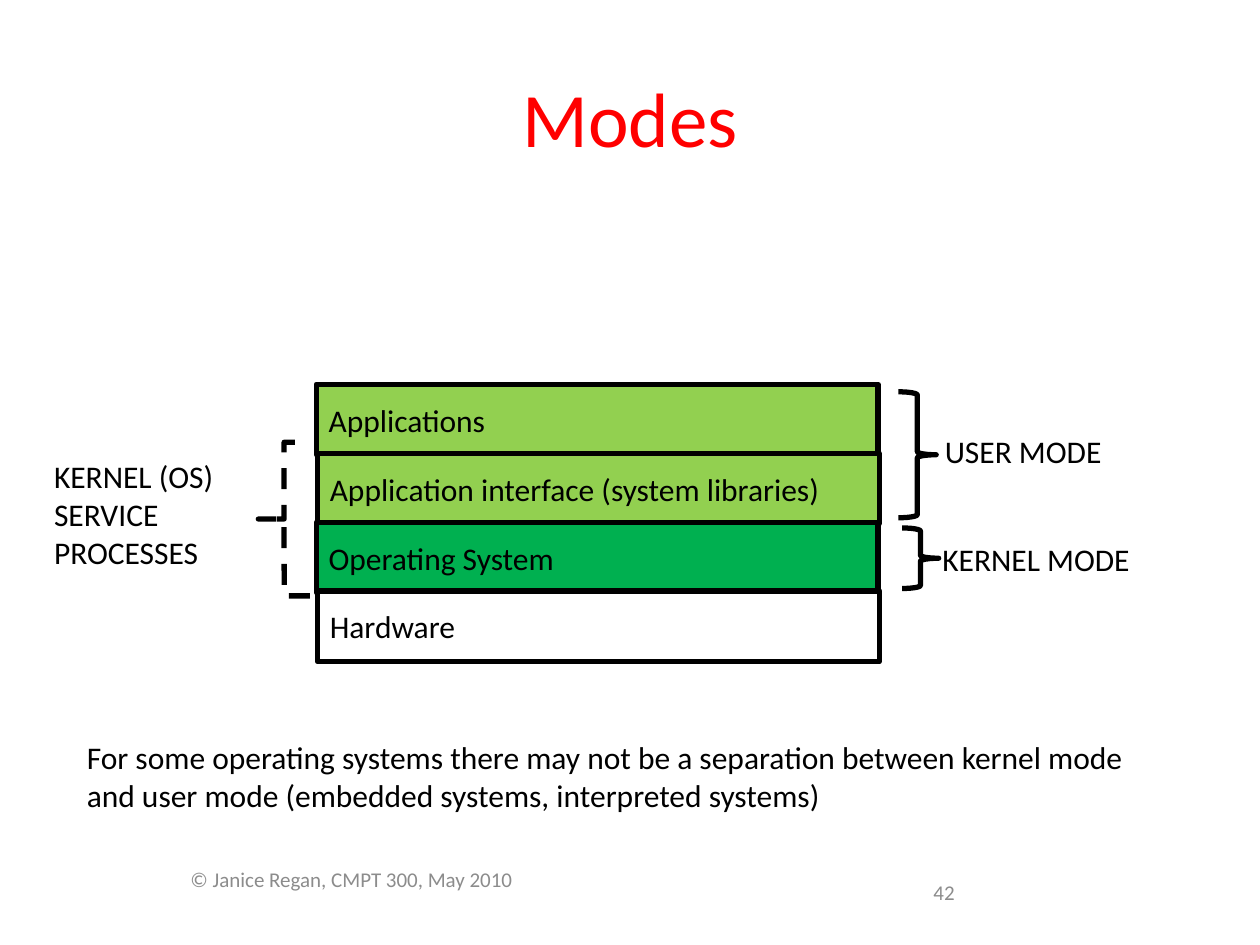
import dataclasses

import pptx
import pptx.dml.color
import pptx.enum.dml
import pptx.enum.shapes
import pptx.enum.text
import pptx.util

Pt = pptx.util.Pt
RGB = pptx.dml.color.RGBColor.from_string
Shape = pptx.enum.shapes.MSO_SHAPE
Anchor = pptx.enum.text.MSO_ANCHOR
Align = pptx.enum.text.PP_ALIGN
AutoSize = pptx.enum.text.MSO_AUTO_SIZE
Dash = pptx.enum.dml.MSO_LINE


@dataclasses.dataclass(frozen=True)
class Theme:
    font: str = "Calibri"
    title_size: int = 44
    body_size: int = 18
    footer_size: int = 12
    title: str = "FF0000"
    ink: str = "000000"
    muted: str = "8C8C8C"
    user: str = "92D050"
    kernel: str = "00B050"
    plain: str = "FFFFFF"
    line_width: int = 3


class SlideBuilder:
    def __init__(self, slide, theme):
        self.slide = slide
        self.theme = theme

    def set_words(self, frame, words, size, color, align=Align.LEFT):
        frame.text = words
        paragraph = frame.paragraphs[0]
        paragraph.alignment = align
        font = paragraph.runs[0].font
        font.name = self.theme.font
        font.size = Pt(size)
        font.color.rgb = RGB(color)

    def text(self, box, words, size, color, align=Align.LEFT, anchor=Anchor.TOP):
        frame = self.slide.shapes.add_textbox(*map(Pt, box)).text_frame
        frame.word_wrap = True
        frame.vertical_anchor = anchor
        self.set_words(frame, words, size, color, align)
        return frame

    def label(self, box, words):
        frame = self.text(box, words, self.theme.body_size, self.theme.ink)
        frame.auto_size = AutoSize.SHAPE_TO_FIT_TEXT

    def outlined(self, kind, box):
        shape = self.slide.shapes.add_shape(kind, *map(Pt, box))
        shape.shadow.inherit = False
        shape.line.color.rgb = RGB(self.theme.ink)
        shape.line.width = Pt(self.theme.line_width)
        return shape

    def layer(self, box, words, color):
        layer = self.outlined(Shape.RECTANGLE, box)
        layer.fill.solid()
        layer.fill.fore_color.rgb = RGB(color)
        frame = layer.text_frame
        frame.word_wrap = False
        frame.vertical_anchor = Anchor.MIDDLE
        self.set_words(frame, words, self.theme.body_size, self.theme.ink)

    def brace(self, kind, box, curve, dash=None):
        brace = self.outlined(kind, box)
        brace.fill.background()
        brace.adjustments[0] = curve
        brace.adjustments[1] = 0.5
        if dash:
            brace.line.dash_style = dash


def main():
    deck = pptx.Presentation()
    deck.slide_width, deck.slide_height = Pt(720), Pt(540)
    theme = Theme()
    modes = SlideBuilder(deck.slides.add_slide(deck.slide_layouts[6]), theme)

    modes.text((36, 21.6, 648, 90), "Modes", theme.title_size, theme.title,
               Align.CENTER, Anchor.MIDDLE)
    modes.text((28.1, 491.8, 345.6, 36), "© Janice Regan, CMPT 300, May 2010",
               theme.footer_size, theme.muted, Align.CENTER)
    modes.text((526.3, 491.8, 149.8, 36), "42", theme.footer_size, theme.muted,
               anchor=Anchor.MIDDLE)

    layers = [
        ("Applications", theme.user),
        ("Application interface (system libraries)", theme.user),
        ("Operating System", theme.kernel),
        ("Hardware", theme.plain),
    ]
    layer_pitch = 39.4
    for row, (name, color) in enumerate(layers):
        left = 180.7 + 0.7 * (row % 2)
        modes.layer((left, 219.6 + row * layer_pitch, 321.1, 40.3), name, color)

    modes.label((532.8, 243.4, 132.5, 28.8), "USER MODE")
    modes.label((531.4, 305.3, 161.3, 28.8), "KERNEL MODE")
    modes.brace(Shape.RIGHT_BRACE, (515.5, 301.7, 20.9, 34.6), 0.083)
    modes.brace(Shape.RIGHT_BRACE, (513.4, 223.9, 21.6, 72), 0.083)
    modes.brace(Shape.LEFT_BRACE, (147.6, 252.7, 29.5, 87.8), 0, Dash.DASH)
    modes.label((23.8, 257.8, 132.5, 72.7), "KERNEL (OS) SERVICE PROCESSES")
    modes.label((42.5, 418.3, 618.5, 51.1),
                "For some operating systems there may not be a separation between "
                "kernel mode and user mode (embedded systems, interpreted systems)")

    deck.save("out.pptx")


if __name__ == "__main__":
    main()
